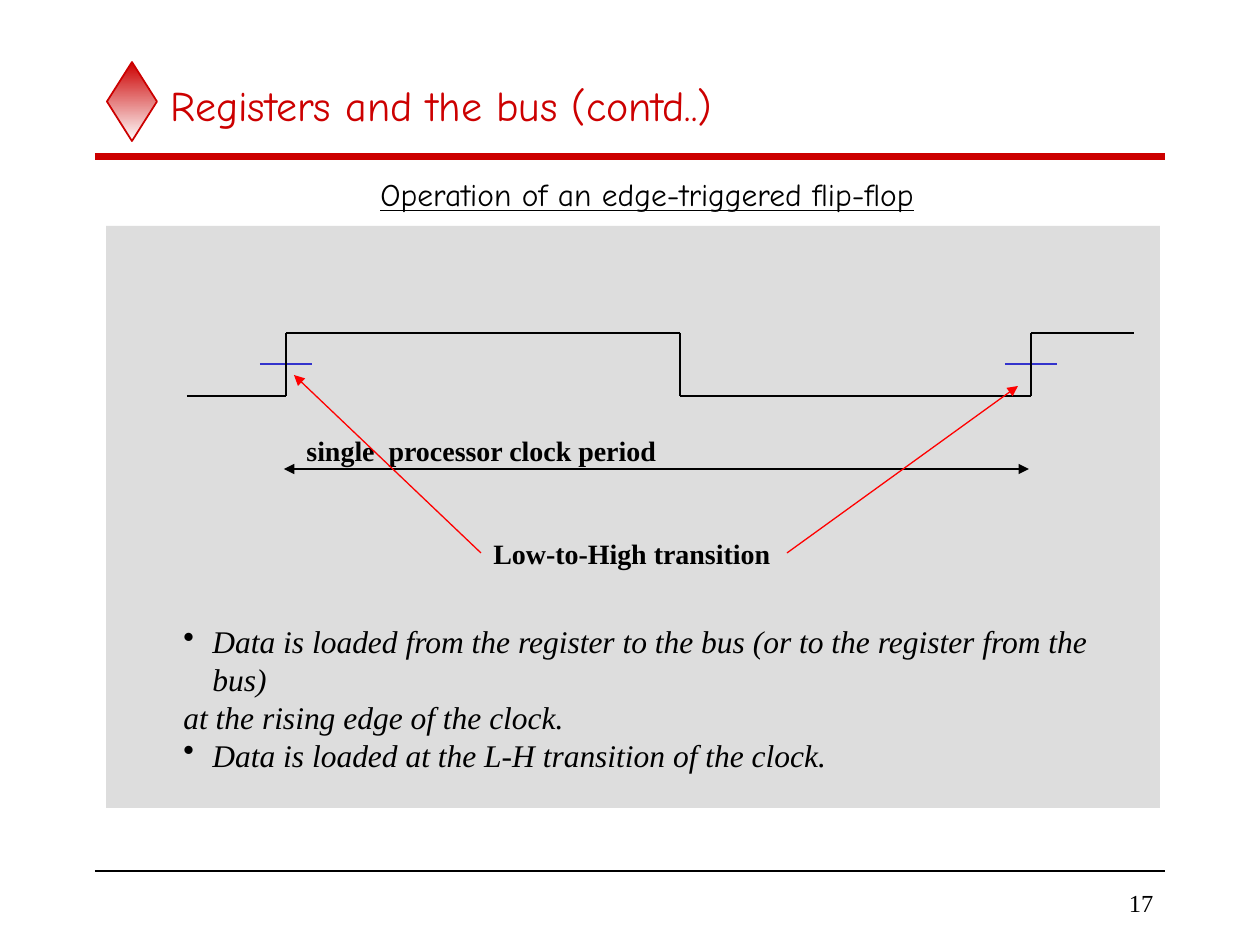
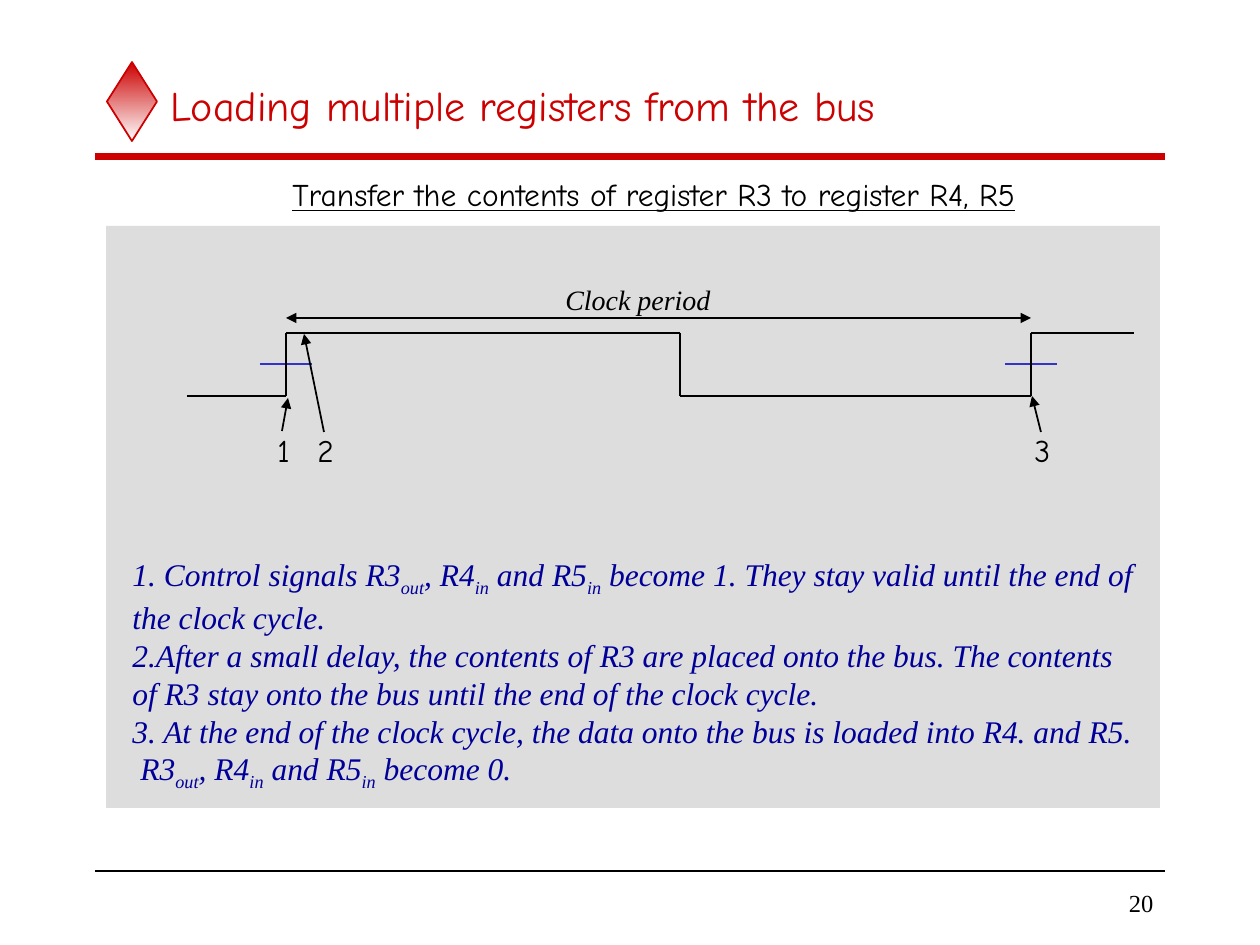
import pptx
import pptx.util
import pptx.dml.color
import pptx.enum.shapes
import pptx.enum.text
import pptx.oxml.ns
from lxml import etree

PX = 914400 // 126  # one px in EMU
COLORS = {"red": "CC0000", "arrow": "FF0000", "pale": "FEFEFE", "panel": "DDDDDD",
          "ink": "000000", "navy": "000099", "tick": "3333CC"}
SERIF, COMIC = "Times New Roman", "Comic Neue"
ALIGN = pptx.enum.text.PP_ALIGN
ANCHOR = pptx.enum.text.MSO_ANCHOR
SHAPE = pptx.enum.shapes.MSO_SHAPE

# Text formats
TITLE = dict(name=COMIC, size=24, color="red")
SUBTITLE = dict(name=COMIC, size=18, color="ink", underline=True)
MARK = dict(name=COMIC, size=18, color="ink")
LABEL = dict(name=SERIF, size=16, color="ink", bold=True)
PERIOD = dict(name=SERIF, size=16, color="ink", italic=True)
NOTES = dict(name=SERIF, size=18, color="ink", italic=True)
STEPS = dict(NOTES, color="navy")
NUMBER = dict(name=SERIF, size=14, color="ink")

# Clock waveform: levels, edges and the ends of the trace
HIGH, LOW = 333, 396
START, RISE, FALL, NEXT_RISE, END = 187, 286, 680, 1031, 1134
MIDDLE, TICK = 364, 26
INDENT = 29

# Content: subscripts stand between bars; a paragraph may carry (left margin, bullet)
EDGE = {
    "title": "Registers and the bus (contd..)",
    "subtitle": ("Operation of an edge-triggered flip-flop", 368, 570),
    "number": "17",
    "period": (284, 1029, 469, 0.75),
    "texts": [
        ((294, 427, 400, 46), LABEL, ["single  processor clock period"]),
        ((171, 616, 978, 170), NOTES, [
            ("Data is loaded from the register to the bus (or to the register from the bus)", INDENT, "•"),
            "at the rising edge of the clock.",
            ("Data is loaded at the L-H transition of the clock.", INDENT, "•")]),
    ],
}
TRANSITION = ("Low-to-High transition", (481, 533, 306, 40))
TRANSITION_ARROWS = [(1, (294, 375)), (3, (1018, 386))]  # side of the label, tip

LOADING = {
    "title": "Loading multiple registers from the bus",
    "subtitle": ("Transfer the contents of register R3 to register R4, R5", 280, 770),
    "number": "20",
    "period": (RISE, NEXT_RISE, 318, 1),
    "texts": [
        ((553, 276, 185, 46), PERIOD, ["Clock period"]),
        ((120, 549, 1040, 250), STEPS, [
            "1. Control signals R3|out|, R4|in| and R5|in| become 1. They stay valid until the end of",
            "the clock cycle.",
            "2.After a small delay, the contents of R3 are placed onto the bus. The contents",
            "of R3 stay onto the bus until the end of the clock cycle.",
            "3. At the end of the clock cycle, the data onto the bus is loaded into R4. and R5.",
            ("R3|out|, R4|in| and R5|in| become 0.", 8, None)]),
    ],
}
# label, left of its box, arrow from, arrow to
MOMENTS = [("1", 265, (282, 431), (288, 398)),
           ("2", 305, (324, 432), (304, 334)),
           ("3", 1022, (1041, 432), (1032, 396))]


def rgb(name):
    return pptx.dml.color.RGBColor.from_string(COLORS[name])


def emu(*lengths):
    return [n * PX for n in lengths]


def write(tf, paragraphs, style, align=ALIGN.LEFT, anchor=ANCHOR.TOP):
    tf.word_wrap, tf.vertical_anchor = True, anchor
    tf.auto_size = pptx.enum.text.MSO_AUTO_SIZE.NONE
    for i, item in enumerate(paragraphs):
        text, margin, bullet = item if isinstance(item, tuple) else (item, 0, None)
        p = tf.paragraphs[0] if i == 0 else tf.add_paragraph()
        p.alignment = align
        pPr = p._p.get_or_add_pPr()
        pPr.set("marL", str(margin * PX))
        pPr.set("indent", str(-margin * PX if bullet else 0))
        if bullet:
            etree.SubElement(pPr, pptx.oxml.ns.qn("a:buChar"), char=bullet)
        for k, part in enumerate(text.split("|")):
            r = p.add_run()
            r.text = part
            for key, value in style.items():
                if key == "color":
                    r.font.color.rgb = rgb(value)
                else:
                    setattr(r.font, key, pptx.util.Pt(value) if key == "size" else value)
            if k % 2:
                r._r.get_or_add_rPr().set("baseline", "-25000")


def add_text(s, box, paragraphs, style, **layout):
    sp = s.shapes.add_textbox(*emu(*box))
    write(sp.text_frame, paragraphs, style, **layout)
    return sp


def add_line(s, start, end, color="ink", width=0.75, arrows=()):
    c = s.shapes.add_connector(pptx.enum.shapes.MSO_CONNECTOR.STRAIGHT, *emu(*start, *end))
    c.line.color.rgb, c.line.width = rgb(color), pptx.util.Pt(width)
    ln = c.line._get_or_add_ln()
    for tag in arrows:
        etree.SubElement(ln, pptx.oxml.ns.qn("a:" + tag), type="triangle")
    etree.SubElement(c._element.spPr, pptx.oxml.ns.qn("a:effectLst"))
    return c


def add_frame(prs, content):
    """Title, bands, panel, subtitle and slide number."""
    s = prs.slides.add_slide(prs.slide_layouts[5])
    diamond = s.shapes.add_shape(SHAPE.DIAMOND, *emu(107, 62, 50, 79))
    diamond.shadow.inherit = False
    diamond.fill.gradient()
    diamond.fill.gradient_angle = 270
    for stop, color in zip(diamond.fill.gradient_stops, ("red", "pale")):
        stop.color.rgb = rgb(color)
    diamond.line.color.rgb, diamond.line.width = rgb("red"), pptx.util.Pt(1)
    for y, color, width in ((157, "red", 4), (871, "ink", 1)):
        add_line(s, (95, y), (1165, y), color, width)

    panel = s.shapes.add_shape(SHAPE.RECTANGLE, *emu(106, 226, 1054, 582))
    panel.shadow.inherit = False
    panel.fill.solid()
    panel.fill.fore_color.rgb = rgb("panel")
    panel.line.fill.background()

    title = s.shapes.title
    title.left, title.top, title.width, title.height = emu(158, 63, 1008, 84)
    write(title.text_frame, [content["title"]], TITLE, anchor=ANCHOR.MIDDLE)
    text, left, width = content["subtitle"]
    add_text(s, (left, 169, width, 50), [text], SUBTITLE)
    add_text(s, (987, 882, 179, 42), [content["number"]], NUMBER,
             align=ALIGN.RIGHT, anchor=ANCHOR.MIDDLE)
    return s


def add_clock(s, content):
    """Waveform, threshold ticks, period arrow and the texts around them."""
    for x1, x2, y in ((START, RISE, LOW), (RISE, FALL, HIGH),
                      (FALL, NEXT_RISE, LOW), (NEXT_RISE, END, HIGH)):
        add_line(s, (x1, y), (x2, y))
    for x in (RISE, NEXT_RISE):
        add_line(s, (x - TICK, MIDDLE), (x + TICK, MIDDLE), "tick")
    for x in (RISE, FALL, NEXT_RISE):
        add_line(s, (x, HIGH), (x, LOW), width=1)
    x1, x2, y, width = content["period"]
    add_line(s, (x1, y), (x2, y), width=width, arrows=("headEnd", "tailEnd"))
    for box, style, paragraphs in content["texts"]:
        add_text(s, box, paragraphs, style)


def main():
    prs = pptx.Presentation()
    prs.slide_width, prs.slide_height = pptx.util.Inches(10), pptx.util.Inches(7.5)

    # Edge-triggered flip-flop
    s = add_frame(prs, EDGE)
    add_clock(s, EDGE)
    text, box = TRANSITION
    label = add_text(s, box, [text], LABEL, anchor=ANCHOR.MIDDLE)
    for side, tip in TRANSITION_ARROWS:
        c = add_line(s, box[:2], tip, "arrow", arrows=("tailEnd",))
        c.begin_connect(label, side)

    # Loading several registers
    s = add_frame(prs, LOADING)
    add_clock(s, LOADING)
    for text, left, start, tip in MOMENTS:
        add_text(s, (left, 425, 45, 50), [text], MARK)
        add_line(s, start, tip, width=1, arrows=("tailEnd",))

    prs.save("out.pptx")


if __name__ == "__main__":
    main()
